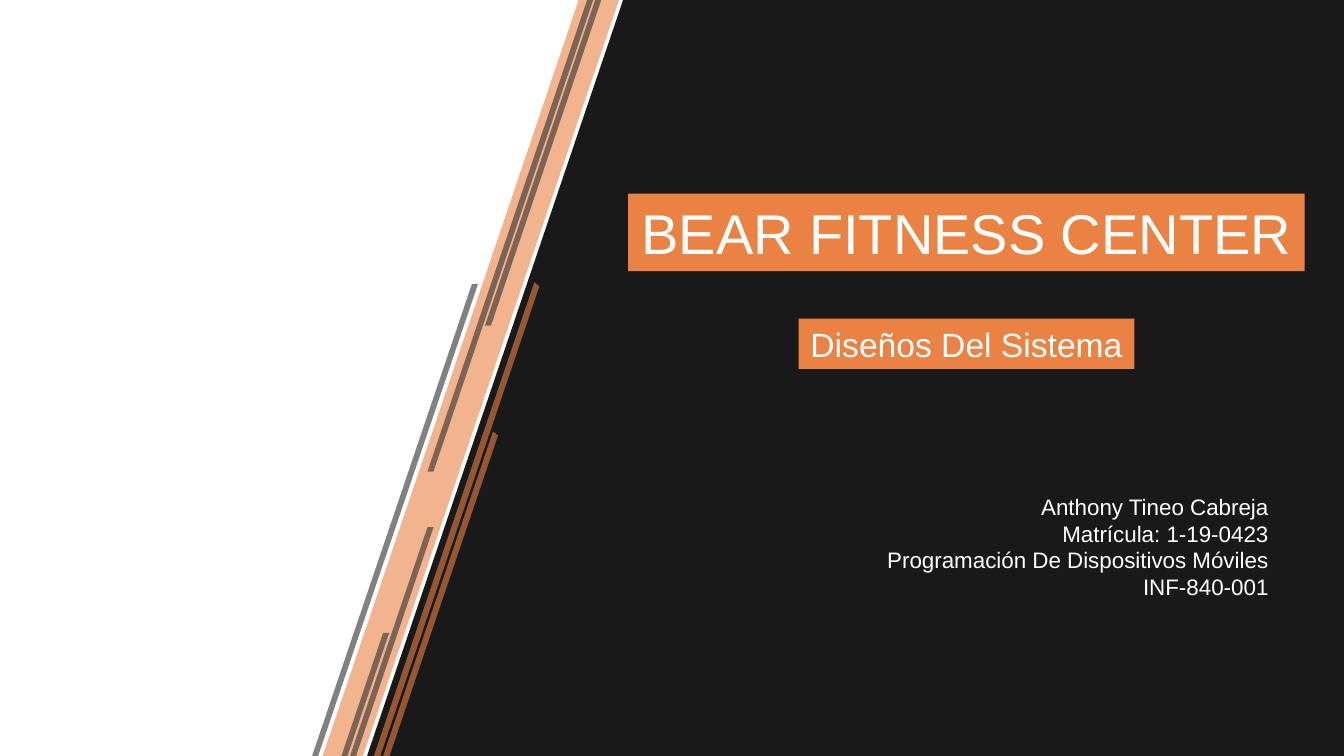
from pptx import Presentation
from pptx import util as u
from pptx.dml.color import RGBColor
from pptx.enum import text
from pptx.oxml import parse_xml
from pptx.oxml.ns import nsdecls, qn

BLACK = RGBColor(0x00, 0x00, 0x00)
GRAY = RGBColor(0x2E, 0x2E, 0x2E)
ORANGE = RGBColor(0xEA, 0x82, 0x44)
WHITE = RGBColor(0xFF, 0xFF, 0xFF)


class Cover:
    FONT = "Arial"
    SLOPE = 0.3386  # sideways inches per inch of height

    def __init__(self, prs):
        self.s = prs.slides.add_slide(prs.slide_layouts[0])

    def polygon(self, points, color, opacity):
        (x, y), *rest = [(u.Inches(x), u.Inches(y)) for x, y in points]
        builder = self.s.shapes.build_freeform(x, y)
        builder.add_line_segments(rest, close=True)
        sp = builder.convert_to_shape()
        sp.shadow.inherit = False
        sp.line.fill.background()
        sp.fill.solid()
        sp.fill.fore_color.rgb = color
        srgb = sp.element.spPr.find(qn("a:solidFill"))[0]
        srgb.append(parse_xml(f'<a:alpha {nsdecls("a")} val="{opacity * 1000}"/>'))

    def stripe(self, left, top, bottom, color, width=0.06, skew=0):
        """Draw a leaning stripe; skew lowers its right edge."""
        run = (bottom - top) * self.SLOPE
        right = left + width
        self.polygon([(left, top), (right, top + skew),
                      (right - run, bottom + skew), (left - run, bottom)], color, 60)

    def set_text(self, sp, box, lines, size, align, wrap):
        sp.left, sp.top, sp.width, sp.height = map(u.Inches, box)
        tf = sp.text_frame
        tf.text = "\n".join(lines)
        tf.word_wrap = wrap
        tf.auto_size = text.MSO_AUTO_SIZE.NONE
        tf.vertical_anchor = text.MSO_ANCHOR.TOP
        for p in tf.paragraphs:
            p.alignment = align
            p.space_before = u.Pt(0)
            p.font.name, p.font.size = self.FONT, u.Pt(size)
            p.font.color.rgb = WHITE

    def label(self, sp, box, line, size):
        """Fill a placeholder with orange and bring it to the front."""
        self.set_text(sp, box, [line], size, text.PP_ALIGN.CENTER, False)
        sp.fill.solid()
        sp.fill.fore_color.rgb = ORANGE
        sp.element.getparent().append(sp.element)

    def credits(self, box, lines):
        sp = self.s.shapes.add_textbox(0, 0, 0, 0)
        self.set_text(sp, box, lines, 16, text.PP_ALIGN.RIGHT, True)


def main():
    prs = Presentation()
    prs.slide_width, prs.slide_height = u.Inches(13.33), u.Inches(7.5)
    cover = Cover(prs)
    cover.polygon([(6.18, 0), (13.33, 0), (13.33, 7.5), (3.64, 7.5)], BLACK, 90)
    cover.stripe(5.74, 0, 7.5, ORANGE, width=0.4)
    for left, top, bottom in [(5.83, -0.02, 4.68), (4.24, 5.23, 7.54),
                              (4.68, 2.82, 7.52), (3.8, 6.28, 7.54),
                              (5.92, -0.05, 3.23)]:
        cover.stripe(left, top, bottom, GRAY)
    for left, top, bottom in [(5.3, 2.8, 7.51), (4.89, 4.28, 7.56)]:
        cover.stripe(left, top, bottom, ORANGE, width=0.05, skew=0.04)

    title, subtitle = cover.s.placeholders
    cover.label(title, (6.23, 1.92, 6.71, 0.77), "BEAR FITNESS CENTER", 40)
    cover.credits((5.57, 4.84, 7.11, 1.18),
                  ["Anthony Tineo Cabreja", "Matrícula: 1-19-0423",
                   "Programación De Dispositivos Móviles", "INF-840-001"])
    cover.label(subtitle, (7.92, 3.16, 3.33, 0.5), "Diseños Del Sistema", 24)
    prs.save("out.pptx")


if __name__ == "__main__":
    main()
